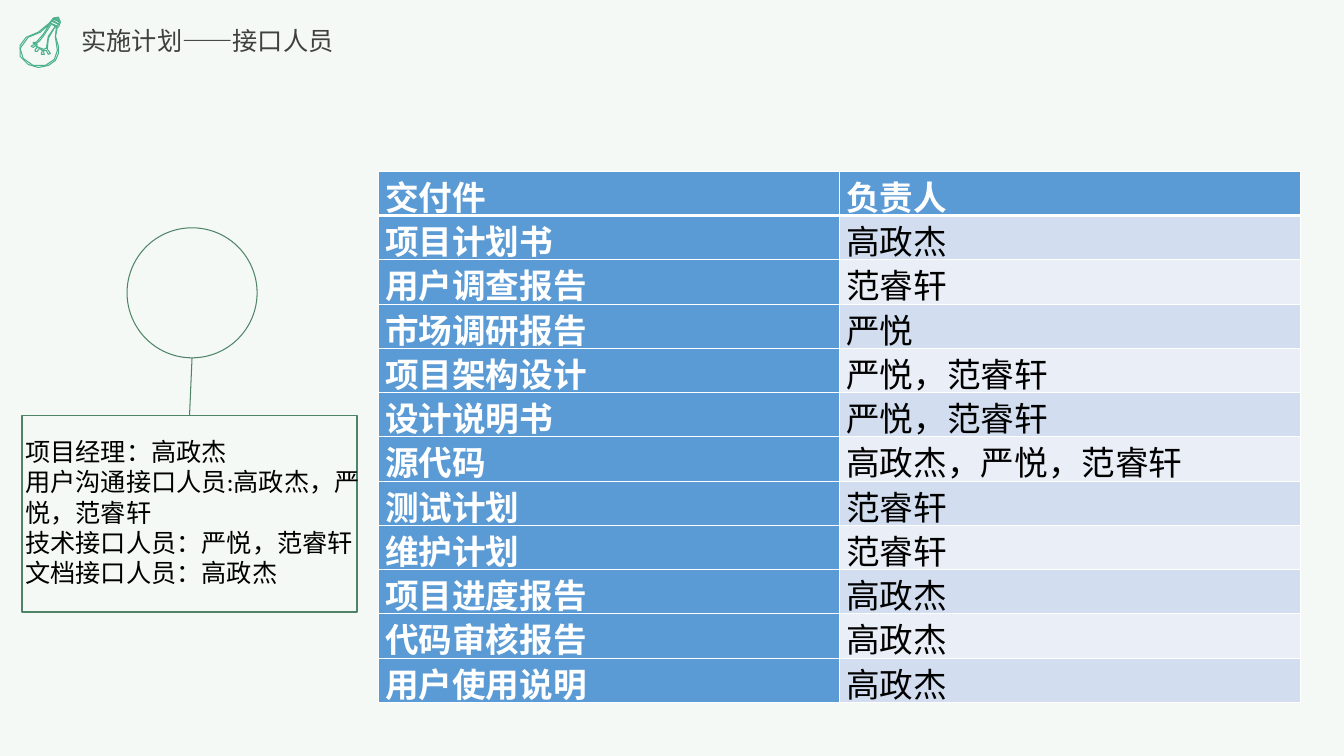
import pptx
import pptx.util
import pptx.dml.color
import pptx.enum.lang
import pptx.enum.shapes
import pptx.enum.text
import pptx.oxml.ns
from lxml import etree

Inches = pptx.util.Inches
Pt = pptx.util.Pt
RGBColor = pptx.dml.color.RGBColor
SHAPE = pptx.enum.shapes.MSO_SHAPE
qn = pptx.oxml.ns.qn

PALE = RGBColor(0xF4, 0xF9, 0xF5)
MINT = RGBColor(0x4B, 0xB0, 0x8C)
GREEN = RGBColor(0x50, 0x84, 0x68)
GRAY = RGBColor(0x40, 0x40, 0x40)
BLACK = RGBColor(0, 0, 0)
WHITE = RGBColor(0xFF, 0xFF, 0xFF)
BLUE = RGBColor(0x5B, 0x9B, 0xD5)
BANDS = RGBColor(0xD2, 0xDE, 0xEF), RGBColor(0xEA, 0xEF, 0xF7)
HAN = "Noto Sans CJK SC"

# Light bulb outlines, in hundredths of an inch from the icon's corner
BULB = [
    [(38, 19), (40, 10), (41, 10), (43, 5), (41, 0), (36, 1), (32, 6), (21, 15),
     (9, 20), (3, 28), (3, 39), (11, 47), (21, 50), (31, 48), (38, 43), (41, 36),
     (41, 29)],
    [(28, 48), (16, 48), (6, 41), (3, 31), (11, 20), (23, 15), (32, 7), (33, 6),
     (26, 17), (19, 25), (16, 25), (16, 26), (18, 26), (18, 27), (15, 28),
     (14, 29), (16, 30), (19, 28), (20, 30), (18, 32), (18, 34), (20, 34),
     (22, 31), (25, 33), (24, 37), (27, 37), (26, 33), (29, 33), (31, 37),
     (33, 36), (31, 33), (30, 32), (31, 21), (38, 9), (39, 9), (38, 20),
     (40, 33), (37, 42)],
    [(31, 19), (29, 31), (26, 32), (24, 31), (21, 30), (19, 28), (20, 27),
     (19, 26), (22, 24), (26, 19), (34, 7), (38, 9)],
    [(33, 6), (34, 4), (41, 7), (40, 9)],
    [(36, 2), (42, 5), (41, 7), (35, 3)],
    [(40, 1), (42, 4), (36, 1)],
]

ROLES = [
    "项目经理：高政杰",
    "用户沟通接口人员:高政杰，严悦，范睿轩",
    "技术接口人员：严悦，范睿轩",
    "文档接口人员：高政杰",
]

ROWS = [
    ("交付件", "负责人"),
    ("项目计划书", "高政杰"),
    ("用户调查报告", "范睿轩"),
    ("市场调研报告", "严悦"),
    ("项目架构设计", "严悦，范睿轩"),
    ("设计说明书", "严悦，范睿轩"),
    ("源代码", "高政杰，严悦，范睿轩"),
    ("测试计划", "范睿轩"),
    ("维护计划", "范睿轩"),
    ("项目进度报告", "高政杰"),
    ("代码审核报告", "高政杰"),
    ("用户使用说明", "高政杰"),
]


def add_run(para, text, size, color, face="Calibri", bold=False):
    run = para.add_run()
    run.text = text
    font = run.font
    font.size, font.bold, font.name = Pt(size), bold, face
    font.color.rgb = color
    font.language_id = pptx.enum.lang.MSO_LANGUAGE_ID.SIMPLIFIED_CHINESE
    latin = run._r.rPr.find(qn("a:latin"))
    latin.addnext(etree.Element(qn("a:ea"), typeface=HAN))


def set_line(shape, color, width):
    shape.line.color.rgb = color
    shape.line.width = Pt(width)


def add_bulb(shapes, left, top):
    pen = None
    for ring in BULB:
        if pen is None:
            pen = shapes.build_freeform(*ring[0], scale=Inches(0.01))
        else:
            pen.move_to(*ring[0])
        pen.add_line_segments(ring[1:], close=True)
    bulb = pen.convert_to_shape(Inches(left), Inches(top))
    bulb.shadow.inherit = False
    bulb.fill.solid()
    bulb.fill.fore_color.rgb = PALE
    set_line(bulb, MINT, 0.75)


def add_head(slide, left, top, width, height):
    shapes = slide.shapes.add_group_shape().shapes
    add_bulb(shapes, left, top - 0.03)
    box = shapes.add_textbox(Inches(left + 0.54), Inches(top),
                             Inches(width - 0.54), Inches(height))
    box.text_frame.word_wrap = False
    add_run(box.text_frame.paragraphs[0], "实施计划——接口人员", 18, GRAY, HAN)


def add_frame(slide, kind, left, top, width, height, weight):
    shape = slide.shapes.add_shape(kind, Inches(left), Inches(top),
                                   Inches(width), Inches(height))
    shape.shadow.inherit = False
    shape.fill.background()
    set_line(shape, GREEN, weight)
    return shape


def add_roles(slide, left, top, width, height):
    """Place the circle, its stem and the framed list of contacts."""
    size, drop = 1.29, 1.86
    ring = add_frame(slide, SHAPE.OVAL, left + 1.04, top, size, size, 0.75)
    frame = add_frame(slide, SHAPE.RECTANGLE, left, top + drop,
                      width, height - drop, 1)
    stem = slide.shapes.add_connector(
        pptx.enum.shapes.MSO_CONNECTOR.STRAIGHT,
        ring.left + ring.width // 2, ring.top + ring.height,
        frame.left + frame.width // 2, frame.top)
    stem.end_connect(frame, 0)
    set_line(stem, GREEN, 0.75)
    etree.SubElement(stem._element.spPr, qn("a:effectLst"))

    box = slide.shapes.add_textbox(Inches(left + 0.03), Inches(top + drop + 0.21),
                                   Inches(width), Inches(1.51))
    text = box.text_frame
    text.word_wrap = True
    text.margin_left = text.margin_right = 0
    text.margin_top = text.margin_bottom = 0
    for i, role in enumerate(ROLES):
        para = text.add_paragraph() if i else text.paragraphs[0]
        add_run(para, role, 18, BLACK)


def set_edges(cell, widths):
    """Draw white cell borders; widths are left, right, top, bottom in points."""
    props = cell._tc.get_or_add_tcPr()
    for side, width in zip("LRTB", widths):
        line = etree.SubElement(props, qn("a:ln" + side), w=str(Pt(width)))
        fill = etree.SubElement(line, qn("a:solidFill"))
        etree.SubElement(fill, qn("a:srgbClr"), val=str(WHITE))


def add_grid(slide, left, top, width, height):
    """Place the table of deliverables and owners."""
    grid = slide.shapes.add_table(len(ROWS), 2, Inches(left), Inches(top),
                                  Inches(width), Inches(height)).table
    for r, row in enumerate(ROWS):
        grid.rows[r].height = Inches(height / len(ROWS))
        for c, word in enumerate(row):
            cell = grid.cell(r, c)
            strong = r == 0 or c == 0
            set_edges(cell, (1, 1, 3 if r == 1 else 1, 3 if r == 0 else 1))
            cell.fill.solid()
            cell.fill.fore_color.rgb = BLUE if strong else BANDS[(r - 1) % 2]
            cell.margin_left = cell.margin_right = Inches(0.07)
            cell.margin_top = cell.margin_bottom = 0
            para = cell.text_frame.paragraphs[0]
            para.alignment = pptx.enum.text.PP_ALIGN.JUSTIFY
            add_run(para, word, 24, WHITE if strong else BLACK, bold=strong)


def main():
    deck = pptx.Presentation()
    deck.slide_width, deck.slide_height = Inches(13.33), Inches(7.5)
    slide = deck.slides.add_slide(deck.slide_layouts[6])
    slide.background.fill.solid()
    slide.background.fill.fore_color.rgb = PALE
    add_head(slide, 0.17, 0.2, 3.31, 0.4)
    add_roles(slide, 0.22, 2.26, 3.32, 3.81)
    add_grid(slide, 3.75, 1.7, 9.15, 5.27)
    deck.save("out.pptx")


if __name__ == "__main__":
    main()
